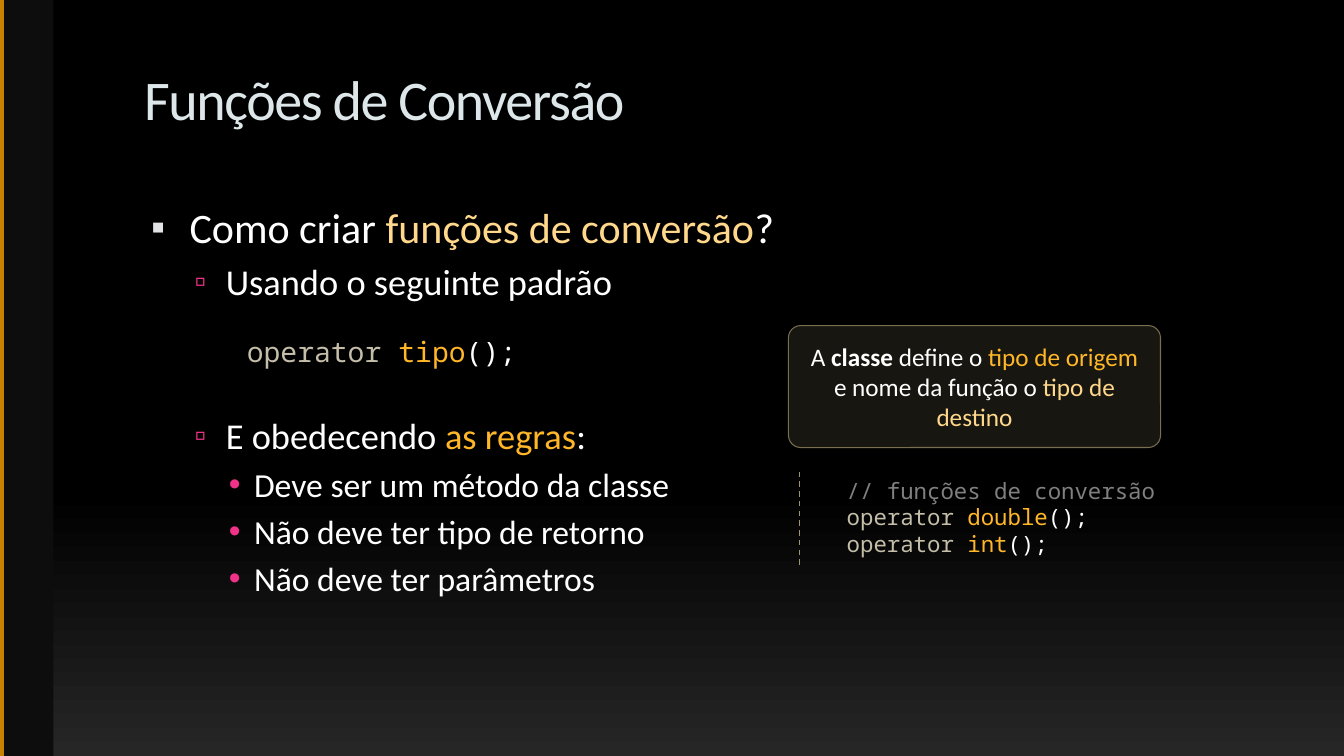
from pptx import Presentation
from pptx.dml.color import RGBColor
from pptx.enum.dml import MSO_LINE
from pptx.enum.shapes import MSO_CONNECTOR, MSO_SHAPE
from pptx.enum.text import MSO_ANCHOR, MSO_AUTO_SIZE, PP_ALIGN
from pptx.oxml.ns import qn
from pptx.util import Inches, Pt
from lxml import etree

STRAIGHT = MSO_CONNECTOR.STRAIGHT
DASH = MSO_LINE.DASH
SANS, MONO = "Calibri", "Noto Sans Mono"
WHITE, CREAM, AMBER, SAND = "FFFFFF", "FFD88B", "FFB728", "C4BEA9"
PINK = "F03288"


def rgb(value):
    return RGBColor.from_string(value)


def write(paragraph, parts, size, font):
    """Fill a paragraph with (text, colour) parts."""
    paragraph.font.size = Pt(size)
    paragraph.font.name = font
    for text, colour in parts:
        run = paragraph.add_run()
        run.text = text
        run.font.color.rgb = rgb(colour)


prs = Presentation()
prs.slide_width, prs.slide_height = Inches(13.33), Inches(7.5)
slide = prs.slides.add_slide(prs.slide_layouts[1])
shapes = slide.shapes

# Background: black fading to grey at the bottom
backdrop = slide.background.fill
backdrop.gradient()
backdrop.gradient_angle = 270
for stop, (position, colour) in zip(backdrop.gradient_stops,
                                    [(0.65, "000000"), (1, "262626")]):
    stop.position = position
    stop.color.rgb = rgb(colour)

# Side band
band = shapes.add_shape(MSO_SHAPE.RECTANGLE, 0, 0, Inches(0.53), Inches(7.5))
band.shadow.inherit = False
band.fill.solid()
band.fill.fore_color.rgb = rgb("0D0D0D")
band.line.fill.background()

# Gold edge and dashed rule beside the example
for x, top, bottom, colour, width, dash in [
    (0.02, 0, 7.5, "C58300", 3, None),
    (7.93, 4.68, 5.63, "9D936F", 1, DASH),
]:
    rule = shapes.add_connector(STRAIGHT, Inches(x), Inches(top), Inches(x), Inches(bottom))
    rule.line.color.rgb = rgb(colour)
    rule.line.width = Pt(width)
    rule.line.dash_style = dash
    etree.SubElement(rule._element.spPr, qn("a:effectLst"))

# Title
title = shapes.title
title.left, title.top, title.width, title.height = map(Inches, (1.33, 0.56, 9.51, 1))
heading = title.text_frame
heading.auto_size = MSO_AUTO_SIZE.NONE
heading.vertical_anchor = MSO_ANCHOR.TOP
heading.margin_top = Inches(0.08)
heading.paragraphs[0].alignment = PP_ALIGN.LEFT
write(heading.paragraphs[0], [("Funções de Conversão", "DDE6E8")], 40, SANS)
heading.paragraphs[0].runs[0].font._element.set("spc", "-100")

# Outline: size, indent, hanging, bullet, bullet colour and bullet size per level
LEVELS = [
    (30, 0.45, 0.38, "▪", "E0E4E5", 95),
    (26, 0.81, 0.31, "▫", PINK, 90),
    (24, 1.09, 0.25, "•", PINK, 100),
]
# Level, space before in points, parts
OUTLINE = [
    (0, 7, [("Como criar ", WHITE), ("funções de conversão", CREAM), ("?", WHITE)]),
    (1, 5.2, [("Usando o seguinte padrão", WHITE)]),
    (1, 79, [("E obedecendo ", WHITE), ("as regras", AMBER), (":", WHITE)]),
    (2, 4.8, [("Deve ser um método da classe", WHITE)]),
    (2, 4.8, [("Não deve ter tipo de retorno", WHITE)]),
    (2, 4.8, [("Não deve ter parâmetros", WHITE)]),
]
body = slide.placeholders[1]
body.left, body.top, body.width, body.height = map(Inches, (1.33, 1.95, 11.33, 5))
outline = body.text_frame
outline.auto_size = MSO_AUTO_SIZE.NONE
for number, (level, gap, parts) in enumerate(OUTLINE):
    item = outline.add_paragraph() if number else outline.paragraphs[0]
    size, indent, hanging, bullet, colour, percent = LEVELS[level]
    item.level = level
    item.space_before = Pt(gap)
    props = item._p.get_or_add_pPr()
    props.set("marL", str(Inches(indent)))
    props.set("indent", str(-Inches(hanging)))
    bullet_colour = etree.SubElement(props, qn("a:buClr"))
    etree.SubElement(bullet_colour, qn("a:srgbClr"), val=colour)
    etree.SubElement(props, qn("a:buSzPct"), val=str(percent * 1000))
    etree.SubElement(props, qn("a:buFont"), typeface="Arial")
    etree.SubElement(props, qn("a:buChar"), char=bullet)
    write(item, parts, size, SANS)

# Code: the pattern and the example
pattern = [[("operator ", SAND), ("tipo", AMBER), ("();", WHITE)]]
example = [[("// funções de conversão", "808080")]] + [
    [("operator ", SAND), (target, AMBER), ("();", WHITE)] for target in ("double", "int")
]
for box, size, lines in [
    ((2.35, 3.27, 3.17, 0.44), 20, pattern),
    ((8.3, 4.68, 3.4, 0.91), 16, example),
]:
    code = shapes.add_textbox(*map(Inches, box)).text_frame
    code.word_wrap = True
    for number, parts in enumerate(lines):
        line = code.add_paragraph() if number else code.paragraphs[0]
        write(line, parts, size, MONO)

# Callout on source and target types
callout = shapes.add_shape(MSO_SHAPE.ROUNDED_RECTANGLE,
                           *map(Inches, (7.82, 3.23, 3.69, 1.21)))
callout.adjustments[0] = 0.1
callout.shadow.inherit = False
callout.fill.solid()
callout.fill.fore_color.rgb = rgb("504A36")
tint = callout._element.spPr.find(qn("a:solidFill")).find(qn("a:srgbClr"))
etree.SubElement(tint, qn("a:alpha"), val="30000")
callout.line.color.rgb = rgb("786F51")
callout.line.width = Pt(0.75)
callout.text_frame.word_wrap = True
callout.text_frame.vertical_anchor = MSO_ANCHOR.MIDDLE
remark = callout.text_frame.paragraphs[0]
remark.alignment = PP_ALIGN.CENTER
write(remark, [("A ", WHITE), ("classe", WHITE), (" define o ", WHITE),
               ("tipo de origem", AMBER), (" e nome da função o ", WHITE),
               ("tipo de destino", CREAM)], 18, SANS)
remark.runs[1].font.bold = True

prs.save("out.pptx")
